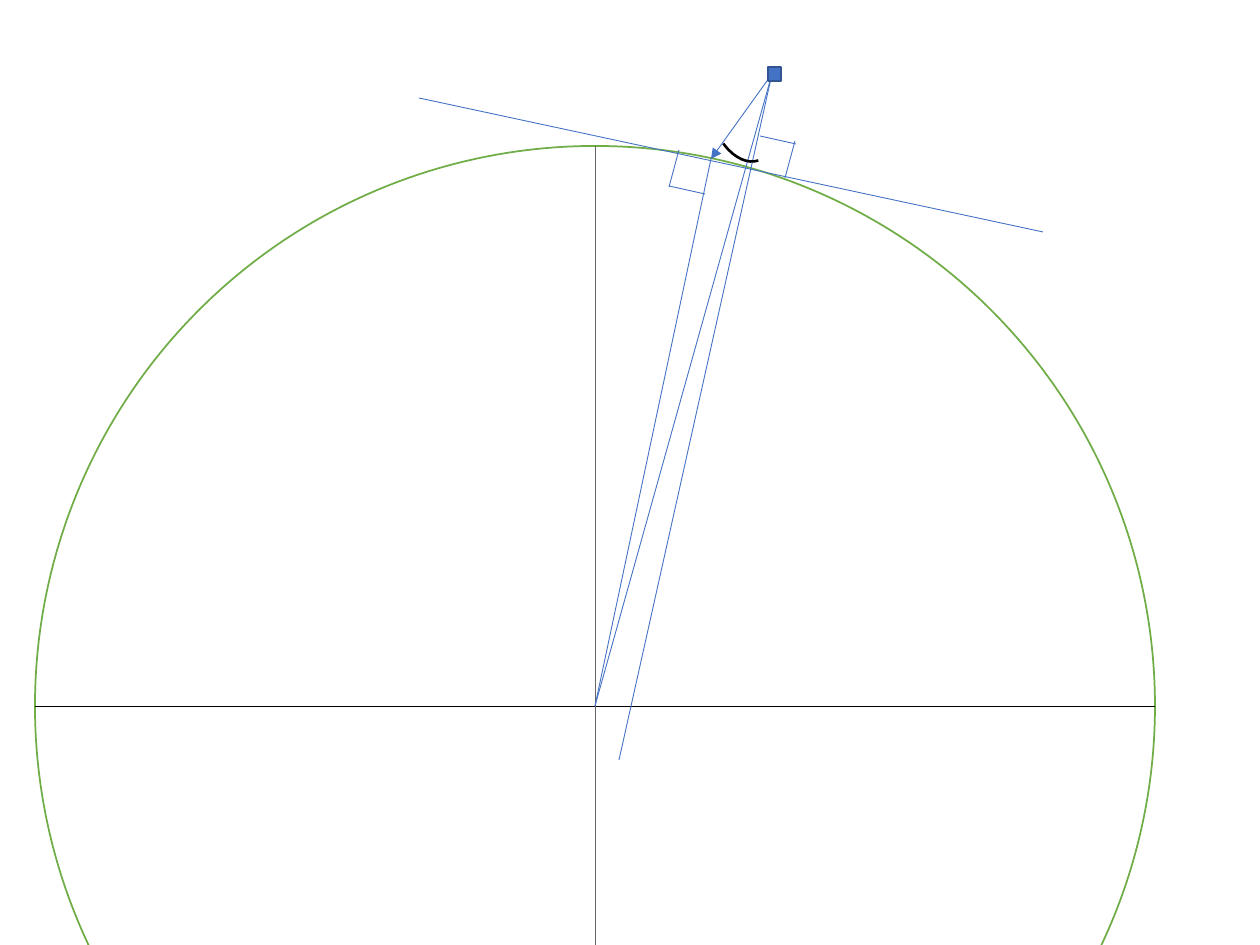
import lxml.etree
import pptx
import pptx.util
import pptx.dml.color
import pptx.enum.shapes
import pptx.oxml.ns

SHAPE = pptx.enum.shapes.MSO_SHAPE
SCALE = 914400 / 126
BLUE, GREEN, BLACK, GREY = "4472C4", "70AD47", "000000", "666666"


def emu(pixels):
    return pptx.util.Emu(round(pixels * SCALE))


def color(value):
    return pptx.dml.color.RGBColor.from_string(value)


class Diagram:
    """Holds the current page and the default line style."""

    def __init__(self, page, ink=BLUE, weight=0.5):
        self.page, self.ink, self.weight = page, ink, weight

    def shape(self, kind, left, top, width, height, fill, ink, weight=1):
        shape = self.page.shapes.add_shape(
            kind, emu(left), emu(top), emu(width), emu(height))
        shape.shadow.inherit = False
        if fill:
            shape.fill.solid()
            shape.fill.fore_color.rgb = color(fill)
        else:
            shape.fill.background()
        shape.line.color.rgb = color(ink)
        shape.line.width = pptx.util.Pt(weight)
        return shape

    def line(self, start, end, ink=None, arrow=False):
        line = self.page.shapes.add_connector(
            pptx.enum.shapes.MSO_CONNECTOR.STRAIGHT,
            *(emu(value) for value in (*start, *end)))
        line.line.color.rgb = color(ink or self.ink)
        line.line.width = pptx.util.Pt(self.weight)
        qn = pptx.oxml.ns.qn
        properties = line._element.spPr
        if arrow:
            outline = properties.find(qn("a:ln"))
            lxml.etree.SubElement(outline, qn("a:tailEnd"), type="triangle")
        lxml.etree.SubElement(properties, qn("a:effectLst"))
        return line


deck = pptx.Presentation()
deck.slide_width, deck.slide_height = emu(1260), emu(945)
diagram = Diagram(deck.slides.add_slide(deck.slide_layouts[6]))

# Circle with its two diameters
radius = 560
center = center_x, center_y = 595, 706
diagram.shape(SHAPE.OVAL, center_x - radius, center_y - radius,
              2 * radius, 2 * radius, "FFFFFF", GREEN)
diagram.line((center_x - radius, center_y), (center_x + radius, center_y), BLACK)
diagram.line((center_x, center_y - radius), (center_x, center_y + radius), GREY)

# Rays from the satellite, the radius and the tangent
satellite, target = (772, 74), (711, 159)
diagram.line(satellite, target, arrow=True)
diagram.line(satellite, center)
diagram.line(target, center)
diagram.line((1043, 232), (419, 98))
diagram.line(satellite, (619, 760))

# Angle between the ray and the normal
angle = diagram.shape(SHAPE.ARC, 712, 66, 62, 97, None, BLACK, 1.5)
angle.rotation = 161.7
angle.adjustments[0] = 162
angle.adjustments[1] = 193.46

# Right-angle marks
for left, top in ((679, 150), (795, 141)):
    diagram.line((left, top), (left - 10, top + 37))
for left, top in ((669, 186), (760, 136)):
    diagram.line((left, top), (left + 36, top + 8))

# Satellite
diagram.shape(SHAPE.RECTANGLE, 768, 67, 13, 14, BLUE, "325491")

deck.save("out.pptx")
